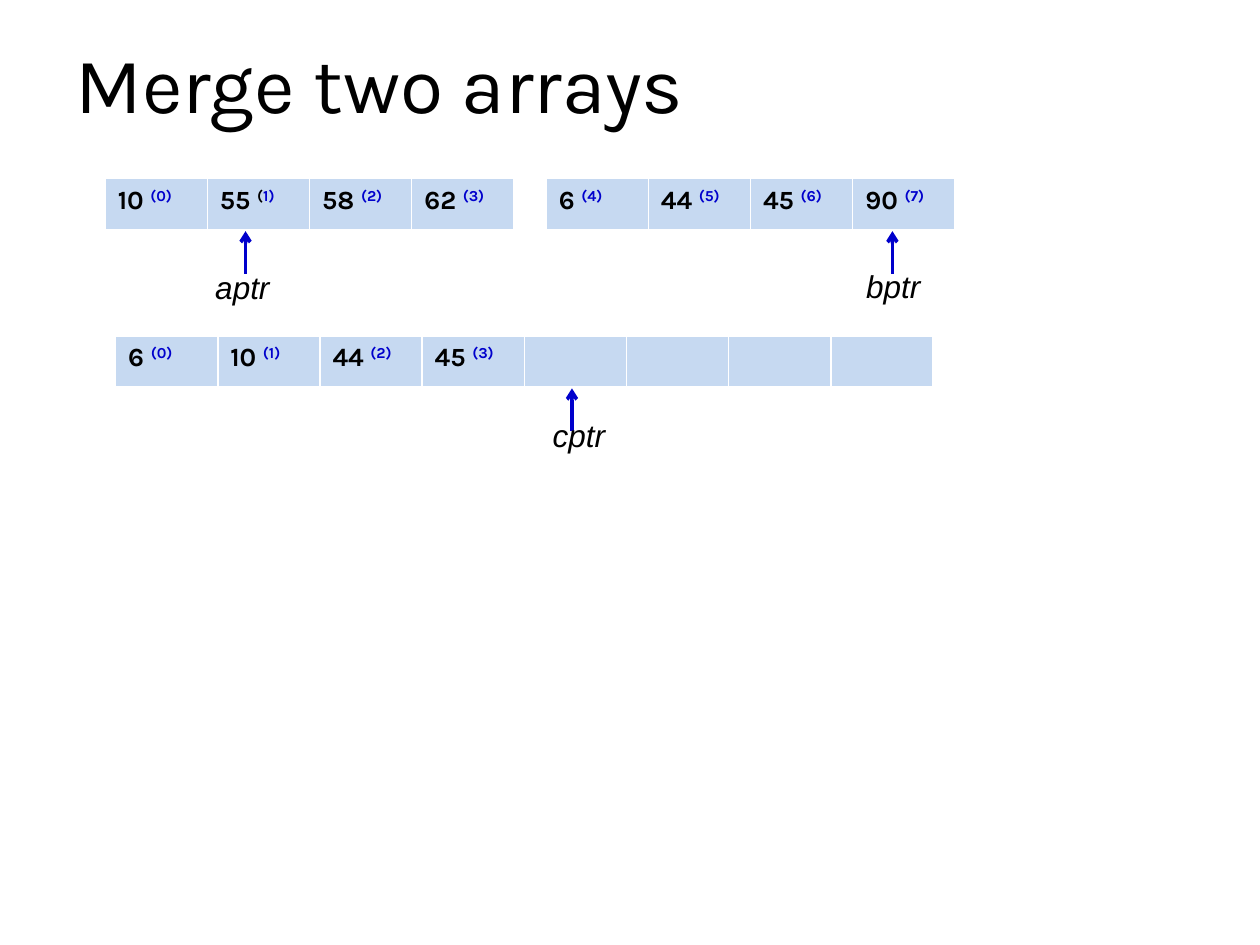
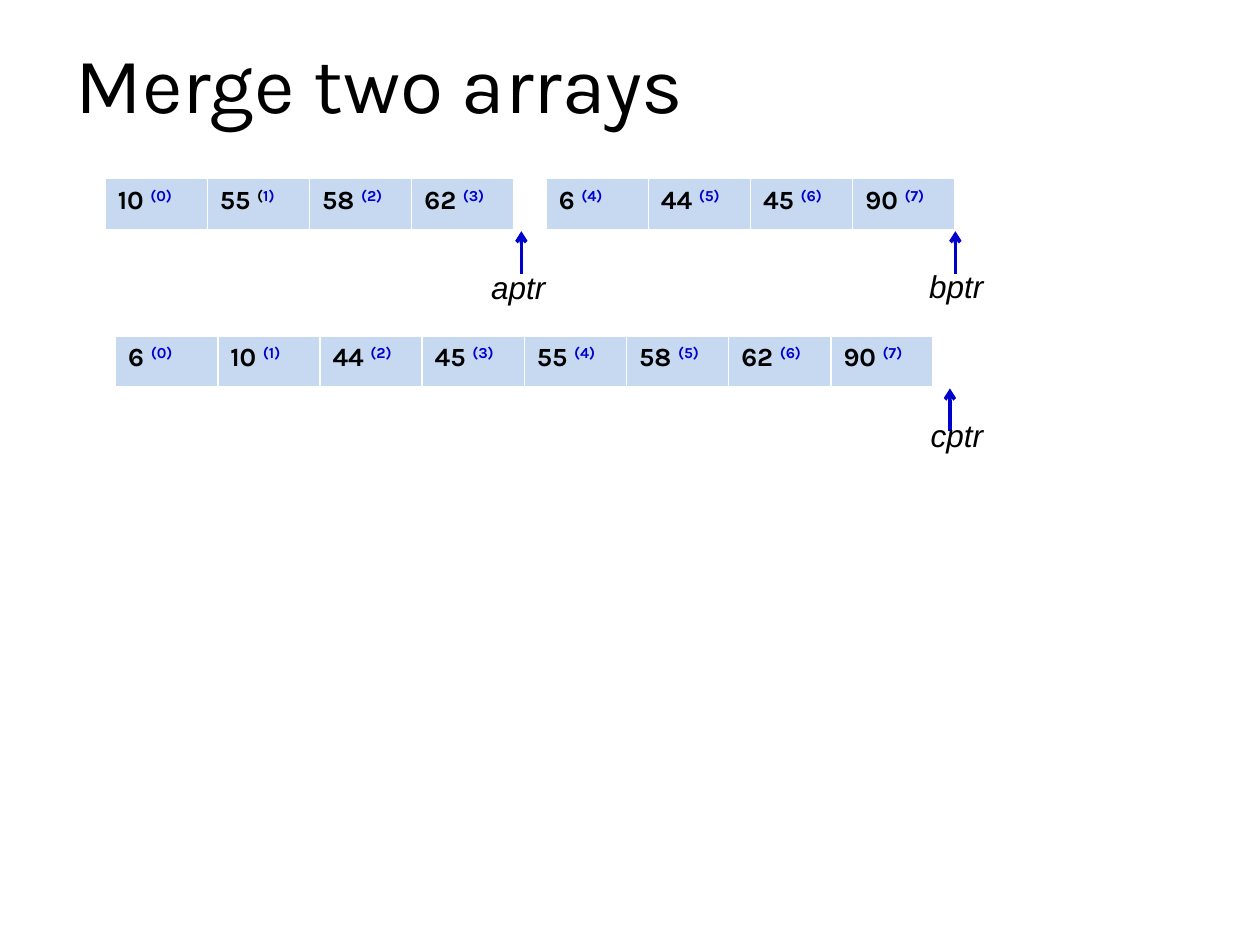
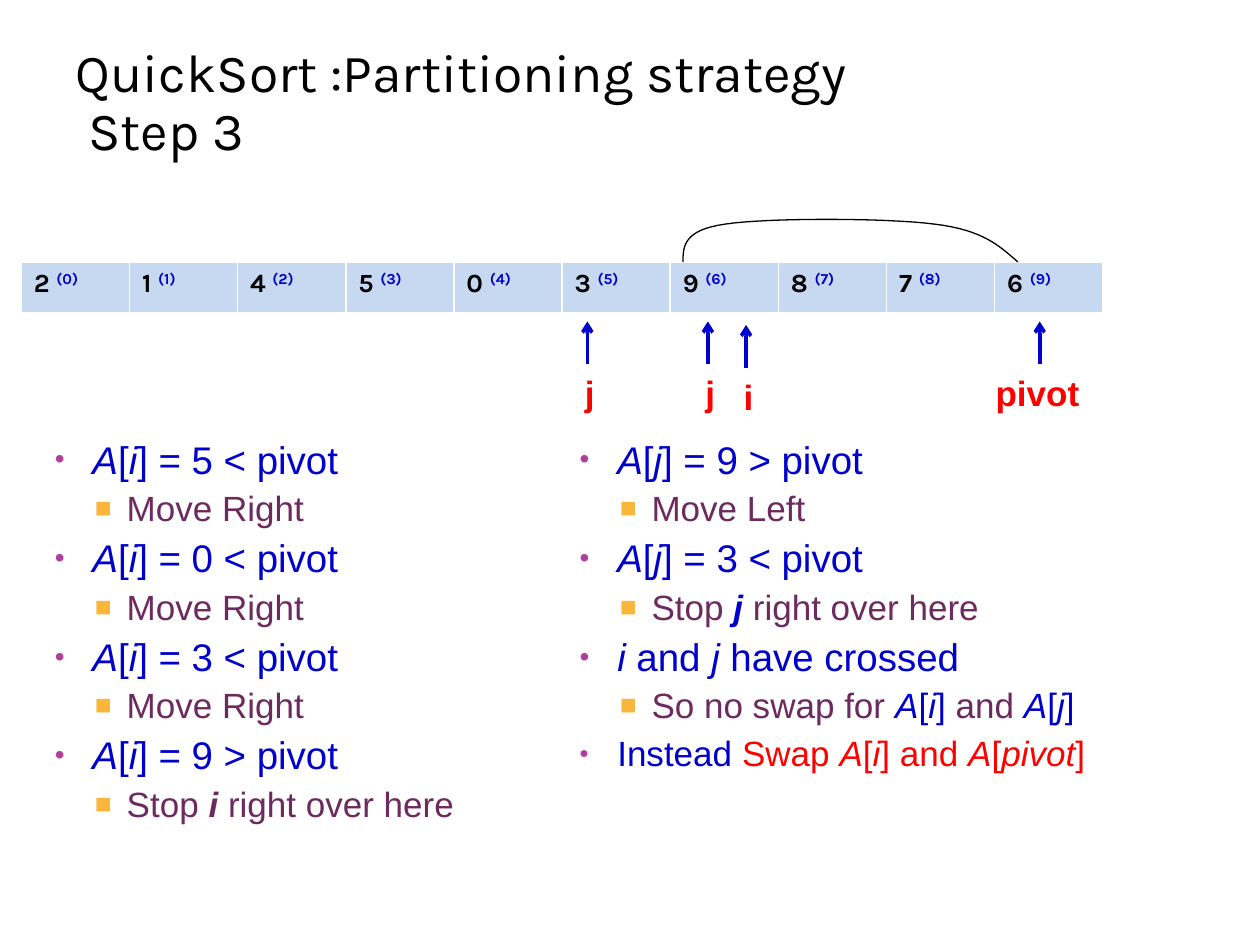
from collections import namedtuple
from lxml.etree import SubElement
from pptx import Presentation
from pptx.dml.color import RGBColor
from pptx.enum.shapes import MSO_CONNECTOR
from pptx.enum.text import MSO_ANCHOR, MSO_AUTO_SIZE, PP_ALIGN
from pptx.oxml.ns import qn
from pptx.util import Cm, Pt

COLORS = {
    "ink": "000000", "blue": "0000CC", "red": "FF0000", "plum": "6C2A5E",
    "cell": "C6D9F1", "white": "FFFFFF", "dot": "B13F9A", "square": "F9B639",
}
HEAD_FONT, BODY_FONT = "Karla", "Arial"
ROW_HEIGHT = 1.06
ARROW_LENGTH = 0.86

Box = namedtuple("Box", "left top width height")  # all in cm
Level = namedtuple("Level", "size color bullet bullet_color bullet_size margin hang before")
Label = namedtuple("Label", "dx dy width height")  # offset from the arrow tip, in cm

LEVELS = [
    Level(22, "blue", "•", "dot", 73, 0.76, 0.76, 6),
    Level(20, "plum", "■", "square", 80, 1.45, 0.64, 5),
]
LABELS = {
    "aptr": Label(-0.86, 0.62, 1.65, 1.02),
    "bptr": Label(-0.78, 0.6, 1.65, 1.02),
    "cptr": Label(-0.64, 0.43, 1.6, 1.02),
    "pivot": Label(-1.14, 0.89, 2.4, 1.09),
    "i": Label(-0.3, 0.89, 0.75, 1.09),
    "j": Label(-0.3, 0.89, 0.75, 1.09),
}


def rgb(name):
    return RGBColor.from_string(COLORS[name])


def lengths(box):
    return [Cm(n) for n in box]


def add_run(p, text, font, size, color, bold=False, italic=False):
    r = p.add_run()
    r.text = text
    r.font.name, r.font.size = font, Pt(size)
    r.font.bold, r.font.italic = bold, italic
    r.font.color.rgb = rgb(color)
    return r


def place(sp, box):
    sp.left, sp.top, sp.width, sp.height = lengths(box)


def add_title(slide, lines, size, top):
    sp = slide.shapes.title
    place(sp, Box(1.27, top, 20.12, 2.33))
    tf = sp.text_frame
    tf.auto_size = MSO_AUTO_SIZE.NONE
    tf.vertical_anchor = MSO_ANCHOR.BOTTOM
    p = tf.paragraphs[0]
    p.alignment, p.line_spacing = PP_ALIGN.LEFT, 0.9
    for n, line in enumerate(lines):
        if n:
            p.add_line_break()
        add_run(p, line, HEAD_FONT, size, "ink")


def add_borders(cell):
    tc_pr = cell._tc.get_or_add_tcPr()
    for side, points in (("L", 1), ("R", 1), ("T", 1), ("B", 3)):
        ln = SubElement(tc_pr, qn(f"a:ln{side}"), w=str(Pt(points)))
        fill = SubElement(ln, qn("a:solidFill"))
        SubElement(fill, qn("a:srgbClr"), val=COLORS["white"])


def add_array(slide, left, top, cell_width, values, first=0, dark_paren=None):
    """Draw one row of values with raised indexes; None leaves a cell empty."""
    box = Box(left, top, cell_width * len(values), ROW_HEIGHT)
    table = slide.shapes.add_table(1, len(values), *lengths(box)).table
    table.first_row = table.horz_banding = False
    for n, value in enumerate(values):
        table.columns[n].width = Cm(cell_width)
        cell = table.cell(0, n)
        add_borders(cell)
        cell.fill.solid()
        cell.fill.fore_color.rgb = rgb("cell")
        if value is None:
            continue
        p = cell.text_frame.paragraphs[0]
        add_run(p, f"{value} ", HEAD_FONT, 15, "ink", bold=True)
        parts = [(f"({first + n})", "blue")]
        if n == dark_paren:
            parts = [("(", "ink"), (f"{first + n})", "blue")]
        for text, color in parts:
            r = add_run(p, text, HEAD_FONT, 15, color, bold=True)
            r._r.get_or_add_rPr().set("baseline", "30000")
    return box


def add_pointer(slide, array, offset, name, gap=0, size=18, color="ink", bold=False):
    """Point up at an array, offset cm from its left edge, with a name below."""
    x, y = array.left + offset, array.top + array.height + gap
    line = slide.shapes.add_connector(
        MSO_CONNECTOR.STRAIGHT, Cm(x), Cm(y + ARROW_LENGTH), Cm(x), Cm(y))
    line.line.color.rgb = rgb("blue")
    line.line.width = Pt(2)
    SubElement(line.line._get_or_add_ln(), qn("a:tailEnd"), type="arrow")
    SubElement(line._element.spPr, qn("a:effectLst"))

    label = LABELS[name]
    box = Box(x + label.dx, y + label.dy, label.width, label.height)
    tf = slide.shapes.add_textbox(*lengths(box)).text_frame
    tf.word_wrap = False
    tf.auto_size = MSO_AUTO_SIZE.NONE
    add_run(tf.paragraphs[0], name, BODY_FONT, size, color, bold, italic=not bold)


def bezier(points, steps=16):
    a, b, c, d = points
    for n in range(1, steps + 1):
        t = n / steps
        u = 1 - t
        yield tuple(u**3 * a[k] + 3 * u * u * t * b[k] + 3 * u * t * t * c[k] + t**3 * d[k]
                    for k in (0, 1))


def add_swap_arch(slide, array):
    """Join the pivot to the cell it is swapped with by a curve over the array."""
    knots = [(20.09, 0), (19.74, -0.3), (19.41, -0.64), (18.42, -0.76),
             (17.43, -0.89), (15.01, -0.89), (14.18, -0.76),
             (13.34, -0.64), (13.34, -0.3), (13.34, 0)]
    knots = [(Cm(array.left + x), Cm(array.top + y)) for x, y in knots]
    outline = [(round(x), round(y)) for n in range(0, len(knots) - 1, 3)
               for x, y in bezier(knots[n:n + 4])]
    builder = slide.shapes.build_freeform(*knots[0])
    builder.add_line_segments(outline, close=False)
    sp = builder.convert_to_shape()
    sp.shadow.inherit = False
    sp.fill.background()
    sp.line.color.rgb = rgb("ink")
    sp.line.width = Pt(0.75)


def add_bullet(p, level):
    p_pr = p._p.get_or_add_pPr()
    p_pr.set("marL", str(Cm(level.margin)))
    p_pr.set("indent", str(-Cm(level.hang)))
    color = SubElement(p_pr, qn("a:buClr"))
    SubElement(color, qn("a:srgbClr"), val=COLORS[level.bullet_color])
    SubElement(p_pr, qn("a:buSzPct"), val=str(level.bullet_size * 1000))
    SubElement(p_pr, qn("a:buFont"), typeface=BODY_FONT)
    SubElement(p_pr, qn("a:buChar"), char=level.bullet)


def add_steps(sp, box, steps):
    """Fill a body with (depth, size, segments); stars in a segment enclose italics.

    A segment is (text, colour, bold); None takes the colour or size of the level.
    """
    place(sp, box)
    tf = sp.text_frame
    tf.auto_size = MSO_AUTO_SIZE.NONE
    for n, (depth, size, segments) in enumerate(steps):
        level = LEVELS[depth]
        p = tf.add_paragraph() if n else tf.paragraphs[0]
        p.level = depth
        add_bullet(p, level)
        p.line_spacing = 0.9
        p.space_before = Pt(level.before if n else 0)
        for text, color, bold in segments:
            for k, part in enumerate(text.split("*")):
                if part:
                    add_run(p, part, BODY_FONT, size or level.size,
                            color or level.color, bold, italic=k % 2 == 1)


def step(depth, *segments, size=None):
    return depth, size, [(s, None, False) if isinstance(s, str) else s for s in segments]


def merge_slide(prs, merged, a_offset, b_offset, c_offset):
    slide = prs.slides.add_slide(prs.slide_layouts[5])
    add_title(slide, ["Merge two arrays"], 45, 0.43)
    a = add_array(slide, 2.12, 3.6, 2.06, [10, 55, 58, 62], dark_paren=1)
    b = add_array(slide, 11.01, 3.6, 2.06, [6, 44, 45, 90], first=4)
    c = add_array(slide, 2.33, 6.77, 2.06, merged)
    add_pointer(slide, a, a_offset, "aptr")
    add_pointer(slide, b, b_offset, "bptr")
    add_pointer(slide, c, c_offset, "cptr")


def partition_slide(prs):
    slide = prs.slides.add_slide(prs.slide_layouts[3])
    add_title(slide, ["QuickSort :Partitioning strategy ", " Step 3"], 30.6, 1.07)
    array = add_array(slide, 0.43, 5.28, 2.18, [2, 1, 4, 5, 0, 3, 9, 8, 7, 6])
    add_swap_arch(slide, array)
    for name, offset, gap in (("j", 11.41, 0.14), ("j", 13.84, 0.14),
                              ("i", 14.61, 0.21), ("pivot", 20.53, 0.14)):
        add_pointer(slide, array, offset, name, gap, 20, "red", bold=True)

    left_steps = []
    for value in (5, 0, 3):
        left_steps += [step(0, f"*A*[*i*] = {value} < pivot"), step(1, "Move Right")]
    left_steps += [
        step(0, "*A*[*i*] = 9 > pivot"),
        step(1, "Stop ", ("*i*", None, True), " right over here"),
    ]
    right_steps = [
        step(0, "*A*[*j*] = 9 > pivot"),
        step(1, "Move Left"),
        step(0, "*A*[*j*] = 3 < pivot"),
        step(1, "Stop ", ("*j*", "blue", True), " right over here"),
        step(0, "*i* and *j* have crossed"),
        step(1, "So no swap for ", ("*A*[*i*] ", "blue", False), "and ",
             ("*A*[*j*]", "blue", False)),
        step(0, "Instead", (" Swap *A*[*i*] and *A*[*pivot*]", "red", False), size=20),
    ]
    add_steps(slide.placeholders[1], Box(0.85, 8.76, 9.1, 8.18), left_steps)
    add_steps(slide.placeholders[2], Box(11.43, 8.76, 10.8, 8.18), right_steps)


def main():
    prs = Presentation()
    prs.slide_width, prs.slide_height = Cm(25.4), Cm(19.05)
    merge_slide(prs, [6, 10, 44, 45] + [None] * 4, 2.83, 6.98, 9.2)
    merge_slide(prs, [6, 10, 44, 45, 55, 58, 62, 90], 8.39, 8.25, 16.82)
    partition_slide(prs)
    prs.save("out.pptx")


if __name__ == "__main__":
    main()
